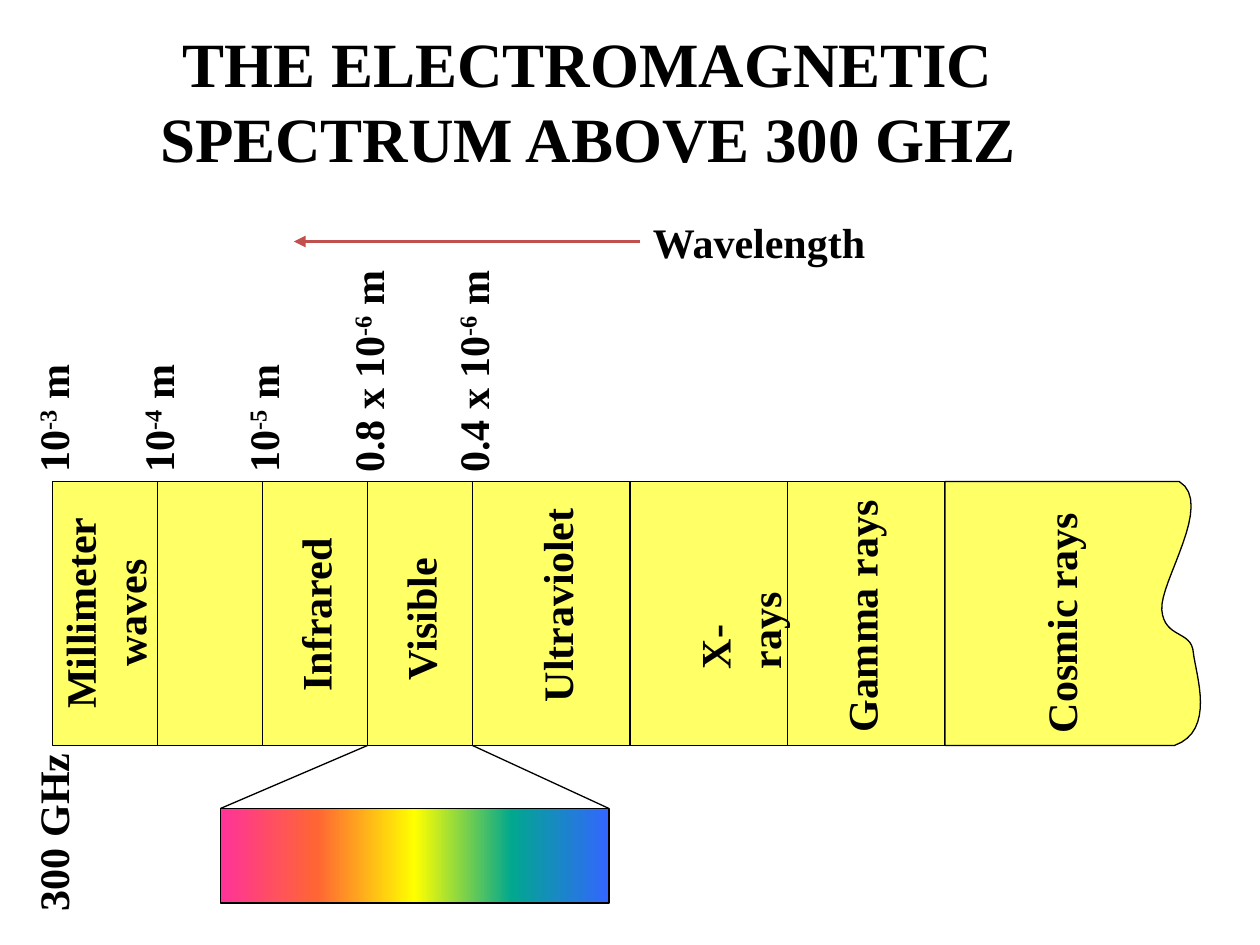
from dataclasses import dataclass
from itertools import pairwise

from lxml import etree
from pptx import Presentation
from pptx.dml.color import RGBColor
from pptx.enum.shapes import MSO_CONNECTOR, MSO_SHAPE
from pptx.enum.text import MSO_ANCHOR, MSO_AUTO_SIZE, PP_ALIGN
from pptx.oxml.ns import qn
from pptx.util import Emu, Inches, Pt

RECT = MSO_SHAPE.RECTANGLE
LINE = MSO_CONNECTOR.STRAIGHT
TOP = MSO_ANCHOR.TOP
FIXED = MSO_AUTO_SIZE.NONE
GROW = MSO_AUTO_SIZE.SHAPE_TO_FIT_TEXT
LEFT = PP_ALIGN.LEFT
CENTER = PP_ALIGN.CENTER

WIDE, HIGH = Inches(10), Inches(7.5)
UNIT = WIDE / 24
FACE = "Times New Roman"
BLACK, YELLOW, RED = "000000", "FFFF66", "C0504D"
TEXT_H = 1.2
BAND_TOP, BAND_END = 9.17, 14.2
EDGES = (1, 3, 5, 7, 9, 12, 15, 18)
MARK_FOOT = 9.24
STEPS = 16
RAINBOW = ("FF3399", "FF6633", "FFFF00", "01A78F", "3366FF")
PRISM = (4.2, 15.4, 7.4, 1.8)


@dataclass(frozen=True)
class Label:
    text: str
    x: float
    y: float
    width: float
    height: float = TEXT_H


@dataclass(frozen=True)
class Mark:
    base: str
    power: str
    length: float


@dataclass(frozen=True)
class Curve:
    first: tuple[float, float]
    second: tuple[float, float]
    end: tuple[float, float]


LABELS = (
    Label("Millimeter\nwaves", 2, 11.68, 4.15, 2.18),
    Label("Infrared", 6, 11.71, 3.4),
    Label("Visible", 8, 11.78, 2.83),
    Label("Ultraviolet", 10.6, 11.52, 4.18),
    Label("X-rays", 13.6, 11.59, 2.78),
    Label("Gamma rays", 16.4, 11.74, 4.9),
    Label("Cosmic rays", 20.2, 11.86, 4.68),
    Label("300 GHz", 1, 15.85, 3.48),
)
MARKS = (
    Mark("10", "-3", 2.6),
    Mark("10", "-4", 2.6),
    Mark("10", "-5", 2.6),
    Mark("0.8 x 10", "-6", 4.4),
    Mark("0.4 x 10", "-6", 4.4),
)
WAVE_TOP = (22.46, BAND_TOP)
WAVE = (
    Curve((23.14, 9.58), (22.08, 11.09), (22.13, 11.62)),
    Curve((22.18, 12.17), (22.7, 12), (22.73, 12.43)),
    Curve((22.78, 12.86), (23.16, 13.92), (22.37, BAND_END)),
)


def grid(*spans: float) -> list[Emu]:
    return [Emu(round(span * UNIT)) for span in spans]


def color(code: str) -> RGBColor:
    return RGBColor.from_string(code)


def style(par, size: int, align) -> None:
    par.alignment = align
    font = par.font
    font.name, font.size, font.bold = FACE, Pt(size), True
    font.color.rgb = color(BLACK)


def outline(shape) -> None:
    shape.shadow.inherit = False
    shape.line.color.rgb = color(BLACK)
    shape.line.width = Pt(0.75)


def paint(shape) -> None:
    outline(shape)
    shape.fill.solid()
    shape.fill.fore_color.rgb = color(YELLOW)


def text_box(slide, label: Label, turn: int = 270):
    left, top = label.x - label.width / 2, label.y - label.height / 2
    box = slide.shapes.add_textbox(*grid(left, top, label.width, label.height))
    box.rotation = turn
    frame = box.text_frame
    frame.word_wrap = False
    frame.auto_size = GROW
    frame.text = label.text
    align = CENTER if len(frame.paragraphs) > 1 else LEFT
    for par in frame.paragraphs:
        style(par, 24, align)
    return frame


def draw_mark(slide, mark: Mark, edge: float) -> None:
    mid = MARK_FOOT - mark.length / 2
    par = text_box(slide, Label(mark.base, edge, mid, mark.length)).paragraphs[0]
    power = par.add_run()
    power.text = mark.power
    power.font._element.set("baseline", "30000")
    par.add_run().text = " m"


def draw_line(slide, start, end, code: str = BLACK, width: float = 0.75, head: bool = False) -> None:
    line = slide.shapes.add_connector(LINE, *grid(*start, *end))
    line.line.color.rgb = color(code)
    line.line.width = Pt(width)
    if head:
        etree.SubElement(line.line._get_or_add_ln(), qn("a:tailEnd"), type="triangle")
    etree.SubElement(line._element.spPr, qn("a:effectLst"))


def trace(start, curve: Curve) -> list[tuple[float, float]]:
    points = []
    for step in range(1, STEPS + 1):
        t = step / STEPS
        shares = ((1 - t) ** 3, 3 * t * (1 - t) ** 2, 3 * t * t * (1 - t), t**3)
        knots = (start, curve.first, curve.second, curve.end)
        points.append(tuple(sum(s * k[axis] for s, k in zip(shares, knots)) for axis in (0, 1)))
    return points


def draw_torn(slide) -> None:
    left = EDGES[-1]
    points = [(left, BAND_TOP), WAVE_TOP]
    for curve in WAVE:
        points += trace(points[-1], curve)
    pen = slide.shapes.build_freeform(*grid(left, BAND_END))
    pen.add_line_segments([grid(*point) for point in points], close=True)
    paint(pen.convert_to_shape())


def draw_prism(slide) -> None:
    left, top, width, height = PRISM
    prism = slide.shapes.add_shape(RECT, *grid(*PRISM))
    outline(prism)
    prism.fill.gradient()
    prism.fill.gradient_angle = 0
    stops = prism._element.spPr.find(qn("a:gradFill")).find(qn("a:gsLst"))
    for stop in list(stops):
        stops.remove(stop)
    for place, code in enumerate(RAINBOW):
        stop = etree.SubElement(stops, qn("a:gs"), pos=str(place * 25000))
        etree.SubElement(stop, qn("a:srgbClr"), val=code)
    draw_line(slide, (left, top), (7, BAND_END))
    draw_line(slide, (left + width, top), (9, BAND_END))


def draw_title(slide, text: str) -> None:
    title = slide.shapes.title
    title.left, title.top, title.width, title.height = grid(2.6, 0.34, 17.2, 3.12)
    frame = title.text_frame
    frame.text = text
    frame.word_wrap = True
    frame.auto_size = FIXED
    frame.vertical_anchor = TOP
    style(frame.paragraphs[0], 36, CENTER)


def main() -> None:
    deck = Presentation()
    deck.slide_width, deck.slide_height = WIDE, HIGH
    slide = deck.slides.add_slide(deck.slide_layouts[5])
    draw_title(slide, "THE ELECTROMAGNETIC SPECTRUM ABOVE 300 GHZ")
    for left, right in pairwise(EDGES):
        spot = grid(left, BAND_TOP, right - left, BAND_END - BAND_TOP)
        paint(slide.shapes.add_shape(RECT, *spot))
    draw_torn(slide)
    for label in LABELS:
        text_box(slide, label)
    for mark, edge in zip(MARKS, EDGES):
        draw_mark(slide, mark, edge)
    text_box(slide, Label("Wavelength", 14.48, 4.6, 4.56), 0)
    draw_line(slide, (12.2, 4.6), (5.6, 4.6), RED, 2.25, True)
    draw_prism(slide)
    deck.save("out.pptx")


if __name__ == "__main__":
    main()
